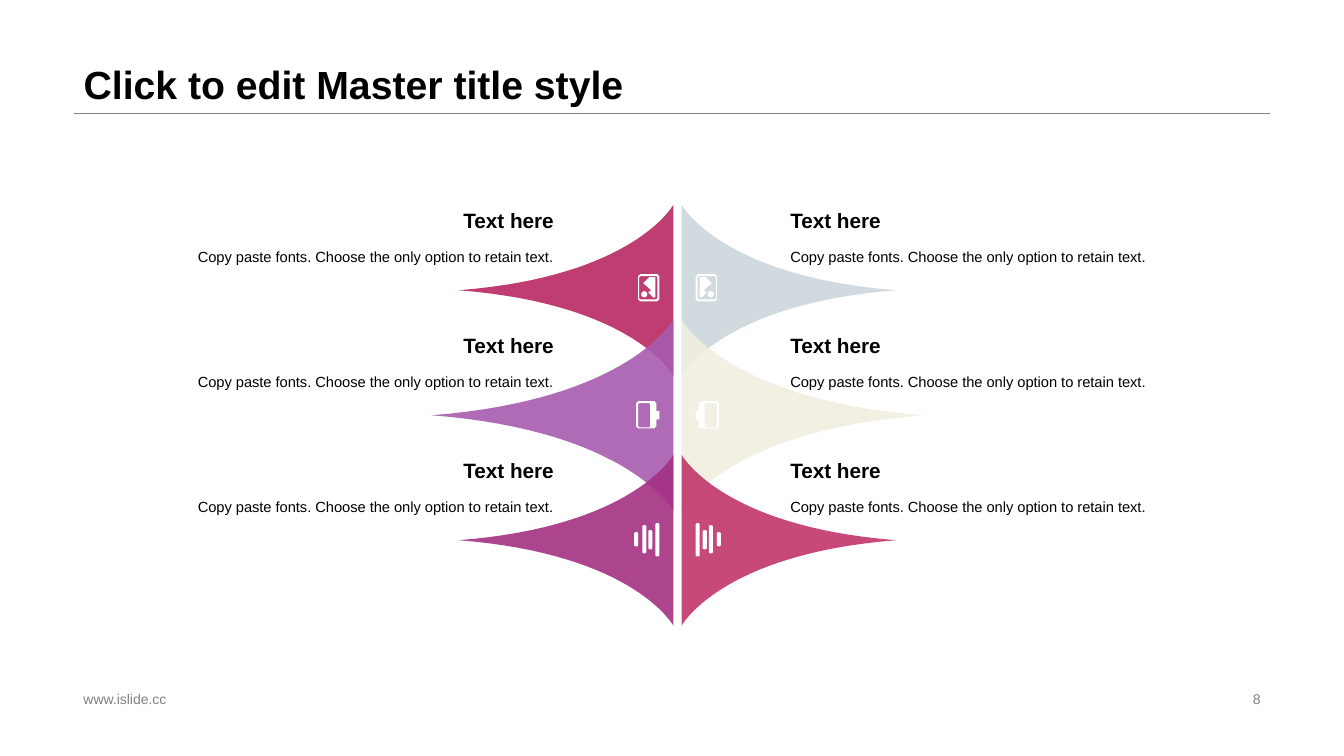
import math

from pptx import Presentation
from pptx import util as u
from pptx.dml.color import RGBColor
from pptx.enum import shapes, text
from pptx.oxml import ns, xmlchemy

THEME = {
    "font": "Arial",
    "ink": RGBColor.from_string("000000"),
    "muted": RGBColor.from_string("808080"),
    "icon": RGBColor.from_string("FFFFFF"),
    "left": ["BA2863", "A75BAD", "A53082"],
    "right": ["CDD7DB", "F0EFE0", "C1366C"],
    "leaf_alpha": "90000",
    "title_size": 28,
    "heading_size": 14.8,
    "body_size": 10.5,
    "footer_size": 10,
}
AXIS = 6.72
GAP = 0.04
FIRST_ROW = 2.88
ROW_STEP = 1.24
LEAF_SIZES = [(2.13, 0.85), (2.4, 0.95), (2.13, 0.85)]
CURVE_STEPS = 32


def rounded_box(near, top, far, bottom, cut=0.01):
    return [
        (near + cut, top), (far - cut, top), (far, top + cut), (far, bottom - cut),
        (far - cut, bottom), (near + cut, bottom), (near, bottom - cut), (near, top + cut),
    ]


def draw_outline(contours, side, row_center, color):
    placed = [
        [(u.Inches(AXIS + side * x), u.Inches(row_center + y)) for x, y in contour]
        for contour in contours
    ]
    builder = slide.shapes.build_freeform(*placed[0][0])
    builder.add_line_segments(placed[0][1:])
    for contour in placed[1:]:
        builder.move_to(*contour[0])
        builder.add_line_segments(contour[1:])
    outline = builder.convert_to_shape()
    outline.shadow.inherit = False
    outline.fill.solid()
    outline.fill.fore_color.rgb = color
    outline.line.fill.background()
    return outline


deck = Presentation()
deck.slide_width, deck.slide_height = u.Inches(13.33), u.Inches(7.5)
slide = deck.slides.add_slide(deck.slide_layouts[5])

title = slide.shapes.title
title.left, title.top = u.Inches(0.73), u.Inches(0)
title.width, title.height = u.Inches(11.87), u.Inches(1.12)
title.text_frame.text = "Click to edit Master title style"
title.text_frame.auto_size = text.MSO_AUTO_SIZE.NONE
title.text_frame.vertical_anchor = text.MSO_ANCHOR.BOTTOM
headline = title.text_frame.paragraphs[0]
headline.alignment = text.PP_ALIGN.LEFT
headline.line_spacing = 0.9
headline.font.name = THEME["font"]
headline.font.size = u.Pt(THEME["title_size"])
headline.font.bold = True
headline.font.color.rgb = THEME["ink"]

title_rule = slide.shapes.add_connector(
    shapes.MSO_CONNECTOR.STRAIGHT, u.Inches(0.73), u.Inches(1.12), u.Inches(12.6), u.Inches(1.12)
)
title_rule.line.color.rgb = THEME["muted"]
title_rule.line.width = u.Pt(0.25)
title_rule._element.spPr.append(xmlchemy.OxmlElement("a:effectLst"))

dot = [
    (0.33 + 0.03 * math.cos(math.tau * i / 16), 0.04 + 0.03 * math.sin(math.tau * i / 16))
    for i in range(16)
]
picture_card = [
    rounded_box(0.18, -0.16, 0.39, 0.11, 0.02),
    rounded_box(0.2, -0.14, 0.38, 0.09),
    dot,
    [(0.22, -0.13), (0.22, 0.07), (0.24, 0.07), (0.29, 0.02),
     (0.26, 0), (0.34, -0.07), (0.28, -0.13)],
]
tabbed_case = [
    [(0.23, -0.14), (0.39, -0.14), (0.41, -0.12), (0.41, 0.11), (0.39, 0.13), (0.23, 0.13),
     (0.21, 0.11), (0.21, 0.04), (0.18, 0.04), (0.18, -0.04), (0.21, -0.04), (0.21, -0.12)],
    rounded_box(0.27, -0.12, 0.39, 0.12),
]
sound_bars = [
    rounded_box(near, top, near + 0.04, bottom)
    for near, top, bottom in [
        (0.18, -0.17, 0.16), (0.25, -0.1, 0.09), (0.31, -0.15, 0.13), (0.39, -0.08, 0.06),
    ]
]
icons = [picture_card, tabbed_case, sound_bars]

for side, leaf_colors in [(-1, THEME["left"]), (1, THEME["right"])]:
    for row, (length, half_height) in enumerate(LEAF_SIZES):
        row_center = FIRST_ROW + row * ROW_STEP
        upper_edge = []
        for step in range(CURVE_STEPS + 1):
            t = step / CURVE_STEPS
            pull = 3 * (1 - t) * t ** 2
            start = (1 - t) ** 3 + 3 * (1 - t) ** 2 * t
            upper_edge.append(
                (GAP + length * (0.18 * pull + t ** 3), -half_height * (start + 0.16 * pull))
            )
        lower_edge = [(x, -y) for x, y in reversed(upper_edge[:-1])]
        leaf = draw_outline(
            [upper_edge + lower_edge], side, row_center, RGBColor.from_string(leaf_colors[row])
        )
        leaf_color = leaf._element.spPr.find(".//" + ns.qn("a:srgbClr"))
        alpha = xmlchemy.OxmlElement("a:alpha")
        alpha.set("val", THEME["leaf_alpha"])
        leaf_color.append(alpha)
        draw_outline(icons[row], side, row_center, THEME["icon"])

LEFT, RIGHT = text.PP_ALIGN.LEFT, text.PP_ALIGN.RIGHT
labels = [
    (0.73, 6.82, 4.53, 0.23, "www.islide.cc", "footer_size", "muted", False, LEFT, 1),
    (9.42, 6.82, 3.18, 0.23, "8", "footer_size", "muted", False, RIGHT, 1),
]
for column, align in [(7.74, LEFT), (0.97, RIGHT)]:
    for row in range(len(icons)):
        top = FIRST_ROW + row * ROW_STEP - 0.86
        labels += [
            (column, top, 4.62, 0.32, "Text here", "heading_size", "ink", True, align, 1),
            (column, top + 0.32, 4.62, 0.38,
             "Copy paste fonts. Choose the only option to retain text.",
             "body_size", "ink", False, align, 1.2),
        ]

for left, top, width, height, wording, size, color, bold, align, spacing in labels:
    label = slide.shapes.add_textbox(*map(u.Inches, (left, top, width, height)))
    label.text_frame.word_wrap = True
    label.text_frame.vertical_anchor = text.MSO_ANCHOR.MIDDLE
    label.text_frame.text = wording
    line = label.text_frame.paragraphs[0]
    line.alignment = align
    line.line_spacing = spacing
    line.font.name = THEME["font"]
    line.font.size = u.Pt(THEME[size])
    line.font.bold = bold
    line.font.color.rgb = THEME[color]

deck.save("out.pptx")
